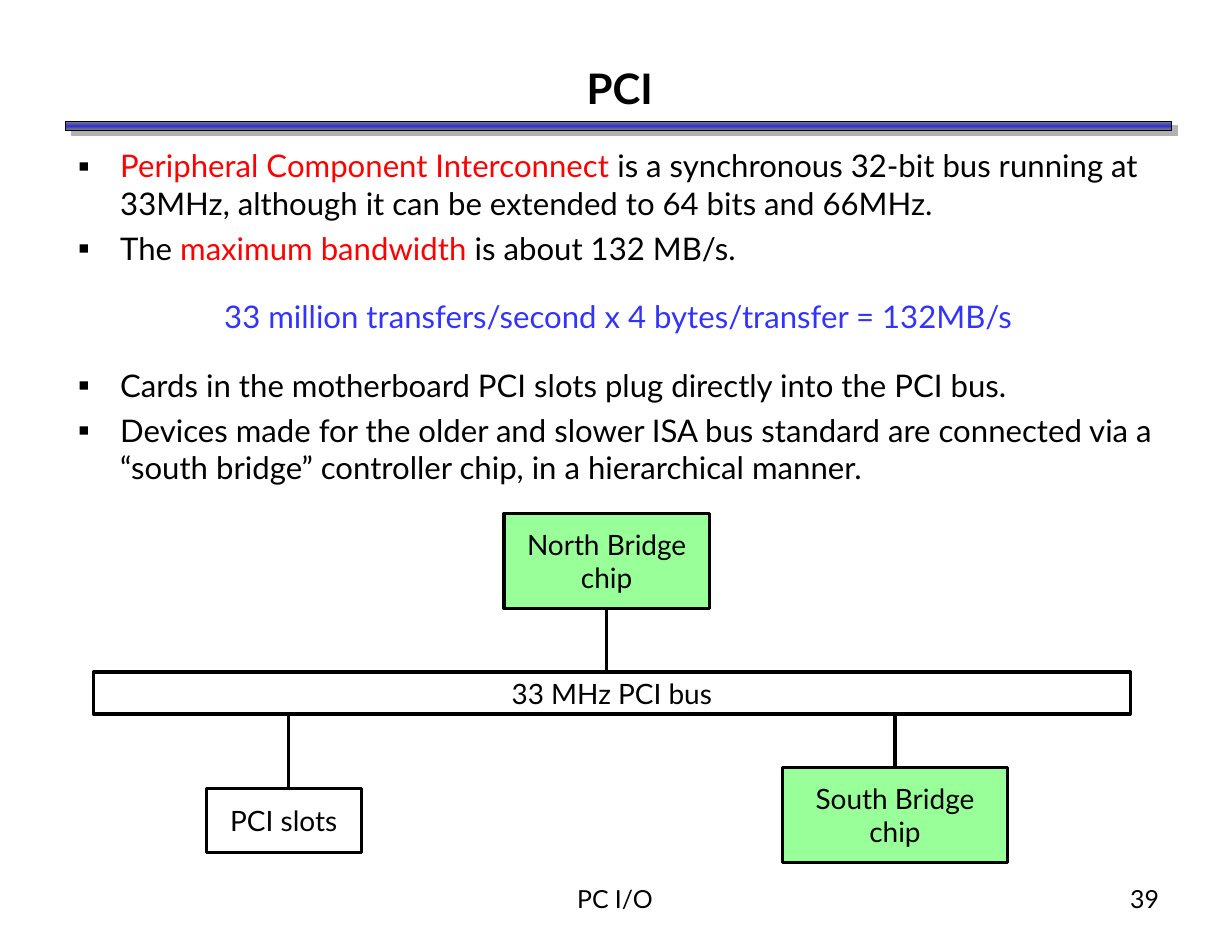
from copy import deepcopy

from lxml.etree import SubElement
from pptx import Presentation
from pptx.dml.color import RGBColor
from pptx.enum.shapes import MSO_CONNECTOR, MSO_SHAPE
from pptx.enum.text import MSO_ANCHOR, MSO_AUTO_SIZE, PP_ALIGN
from pptx.oxml.ns import qn
from pptx.util import Inches, Pt

FONT = "Lato"
BLACK, RED, BLUE, GREEN = "000000", "FF0000", "3333FF", "99FF99"
TOP, BOTTOM = 0, 2  # connection sites


def color(value):
    return RGBColor.from_string(value)


def grid(*cells):
    """Turn grid units (132 columns by 102 rows) into lengths."""
    return [Inches(cell / 12) for cell in cells]


def add_span(para, text, size, fill=BLACK, bold=False):
    span = para.add_run()
    span.text = text
    span.font.name = FONT
    span.font.size = Pt(size)
    span.font.bold = bold
    span.font.color.rgb = color(fill)


def set_frame(frame, horizontal, vertical, anchor=MSO_ANCHOR.TOP, wrap=True):
    frame.auto_size = MSO_AUTO_SIZE.NONE
    frame.word_wrap = wrap
    frame.vertical_anchor = anchor
    frame.margin_left = frame.margin_right = Inches(horizontal)
    frame.margin_top = frame.margin_bottom = Inches(vertical)


def add_title(page, area, text):
    title = page.shapes.title
    title.left, title.top, title.width, title.height = grid(*area)
    set_frame(title.text_frame, 0.11, 0.06, MSO_ANCHOR.MIDDLE)
    para = title.text_frame.paragraphs[0]
    para.alignment = PP_ALIGN.CENTER
    add_span(para, text, 27, bold=True)


def add_rule(page, area):
    rule = page.shapes.add_shape(MSO_SHAPE.RECTANGLE, *grid(*area))
    rule.line.color.rgb = color(BLACK)
    rule.line.width = Pt(1)
    # Three-stop gradient
    rule.fill.gradient()
    rule.fill.gradient_angle = 90
    stops = rule.fill._fill._gradFill.gsLst
    stops.append(deepcopy(stops[-1]))
    for stop, (position, shade) in zip(
            rule.fill.gradient_stops, [(0, "808080"), (0.5, "3333CC"), (1, "808080")]):
        stop.position = position
        stop.color.rgb = color(shade)
    # Grey offset shadow
    rule.shadow.inherit = False
    effects = rule.element.spPr.find(qn("a:effectLst"))
    shadow = SubElement(effects, qn("a:outerShdw"), blurRad="0", dist=str(Pt(5)),
                        dir=str(37 * 60000), algn="ctr", rotWithShape="0")
    SubElement(shadow, qn("a:srgbClr"), val="B2B2B2")


def set_bullet(para):
    properties = para._p.get_or_add_pPr()
    properties.set("marL", str(Inches(0.38)))
    properties.set("indent", str(Inches(-0.38)))
    bullet_color = SubElement(properties, qn("a:buClr"))
    SubElement(bullet_color, qn("a:srgbClr"), val=BLACK)
    SubElement(properties, qn("a:buFont"), typeface=FONT)
    SubElement(properties, qn("a:buChar"), char="▪")


def add_body(page, area, items):
    frame = page.shapes.add_textbox(*grid(*area)).text_frame
    set_frame(frame, 0.11, 0.06)
    for index, (is_formula, spans) in enumerate(items):
        para = frame.add_paragraph() if index else frame.paragraphs[0]
        if is_formula:
            para.alignment = PP_ALIGN.CENTER
            para.space_before, para.space_after = Pt(20), Pt(15)
        else:
            set_bullet(para)
            if index:
                para.space_before = Pt(5)
        for text, fill in spans:
            add_span(para, text, 20, fill)


def add_footer(page, area, text, alignment):
    frame = page.shapes.add_textbox(*grid(*area)).text_frame
    set_frame(frame, 0.11, 0.06)
    frame.paragraphs[0].alignment = alignment
    add_span(frame.paragraphs[0], text, 16)


def add_block(page, area, lines, fill=None):
    block = page.shapes.add_shape(MSO_SHAPE.RECTANGLE, *grid(*area))
    block.shadow.inherit = False
    if fill:
        block.fill.solid()
        block.fill.fore_color.rgb = color(fill)
    else:
        block.fill.background()
    block.line.color.rgb = color(BLACK)
    block.line.width = Pt(2)
    frame = block.text_frame
    set_frame(frame, 0.1, 0.05, MSO_ANCHOR.MIDDLE, wrap=False)
    for index, line in enumerate(lines):
        para = frame.add_paragraph() if index else frame.paragraphs[0]
        para.alignment = PP_ALIGN.CENTER
        add_span(para, line, 18)
    return block


def add_link(page, column, start, end):
    link = page.shapes.add_connector(
        MSO_CONNECTOR.STRAIGHT, *grid(column, start, column, end))
    link.line.color.rgb = color(BLACK)
    link.line.width = Pt(2)
    SubElement(link.element.spPr, qn("a:effectLst"))
    return link


def add_bus_diagram(page, area):
    left, top, width, height = area
    bus_top, bus_height, chip_height = top + 17, 4.5, 10.2
    bus_bottom, bottom = bus_top + bus_height, top + height
    south_top, slots_top = bottom - chip_height, bottom - 7.9

    # Chips, bus and slots
    north = add_block(page, (left + 44, top, 22, chip_height),
                      ["North Bridge", "chip"], GREEN)
    south = add_block(page, (left + 73.8, south_top, 24.2, chip_height),
                      ["South Bridge", "chip"], GREEN)
    add_block(page, (left, bus_top, width, bus_height), ["33 MHz PCI bus"])
    add_block(page, (left + 12.1, slots_top, 16.6, 6.8), ["PCI slots"])

    # Links to the bus
    add_link(page, left + 85.9, bus_bottom, south_top).end_connect(south, TOP)
    add_link(page, left + 20.9, bus_bottom, slots_top)
    add_link(page, left + 55, top + chip_height, bus_top).begin_connect(north, BOTTOM)


def main():
    deck = Presentation()
    deck.slide_width, deck.slide_height = grid(132, 102)
    page = deck.slides.add_slide(deck.slide_layouts[5])

    add_rule(page, (7, 13, 118.5, 1))
    add_footer(page, (45, 94, 41.8, 6.8), "PC I/O", PP_ALIGN.CENTER)
    add_footer(page, (98, 94, 27.5, 6.8), "39", PP_ALIGN.RIGHT)
    add_title(page, (7, 6, 118.8, 6.8), "PCI")
    add_body(page, (7, 15, 118.5, 78), [
        (False, [("Peripheral Component Interconnect", RED),
                 (" is a synchronous 32-bit bus running at 33MHz, although it can be "
                  "extended to 64 bits and 66MHz.", BLACK)]),
        (False, [("The ", BLACK), ("maximum bandwidth", RED),
                 (" is about 132 MB/s.", BLACK)]),
        (True, [("33 million transfers/second x 4 bytes/transfer = 132MB/s", BLUE)]),
        (False, [("Cards in the motherboard PCI slots plug directly into the PCI bus.",
                  BLACK)]),
        (False, [("Devices made for the older and slower ISA bus standard are connected "
                  "via a “south bridge” controller chip, in a hierarchical manner.",
                  BLACK)]),
    ])
    add_bus_diagram(page, (10, 55, 111.1, 37.4))
    deck.save("out.pptx")


if __name__ == "__main__":
    main()
